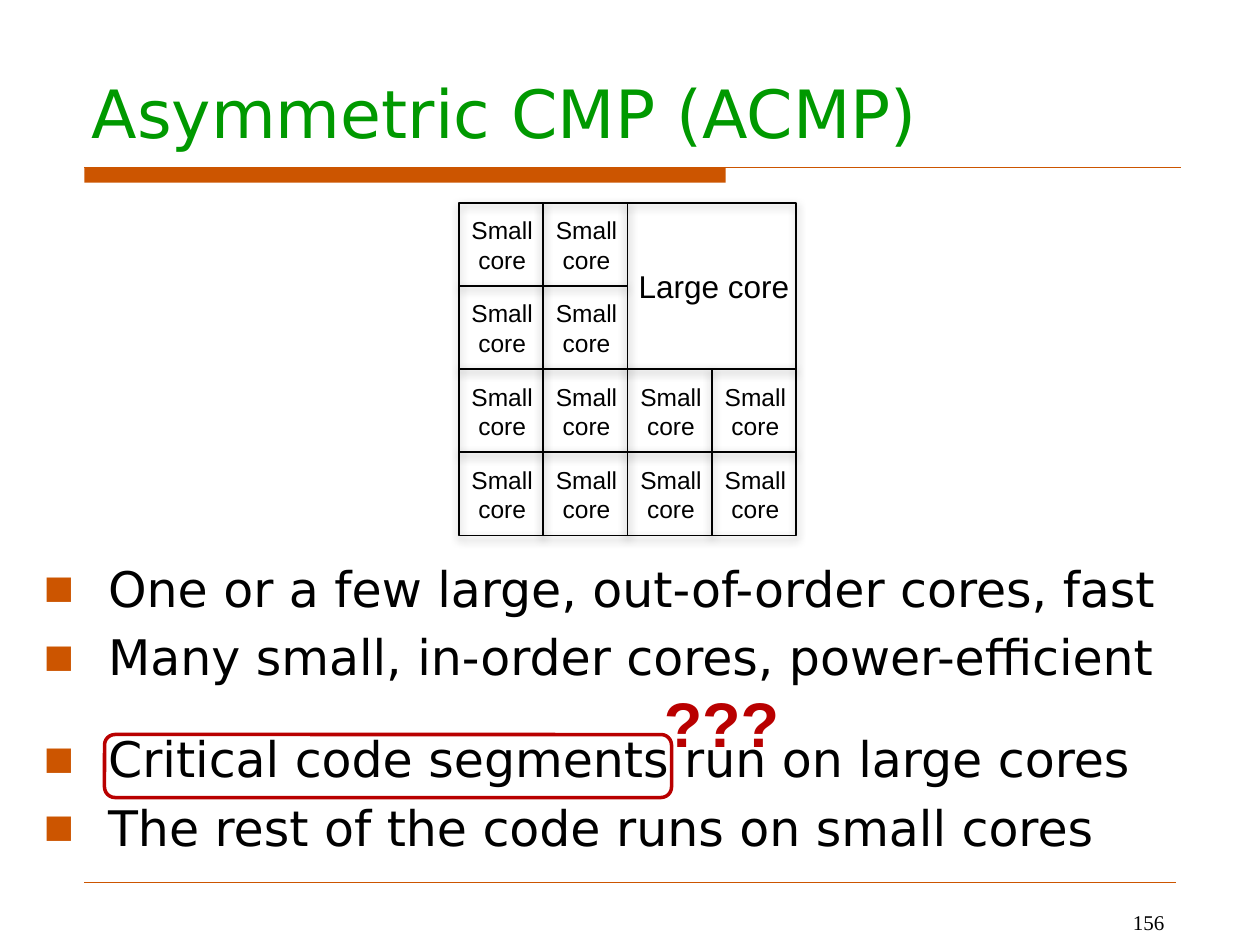
from dataclasses import dataclass

from lxml import etree
from pptx import Presentation
from pptx.dml.color import RGBColor
from pptx.enum.shapes import MSO_CONNECTOR, MSO_SHAPE
from pptx.enum.text import MSO_ANCHOR as Anchor, PP_ALIGN as Align
from pptx.oxml.ns import qn
from pptx.util import Inches, Pt

# Content
TITLE = "Asymmetric CMP (ACMP)"
SMALL_CORE = ["Small", "core"]
LARGE_CORE = "Large core"
POINTS = [  # text, space before in points
    ("One or a few large, out-of-order cores, fast", 0),
    ("Many small, in-order cores, power-efficient", 5.6),
    ("Critical code segments run on large cores", 24.6),
    ("The rest of the code runs on small cores", 5.6),
]
QUESTION = "???"
PAGE = "156"


@dataclass(frozen=True)
class Theme:
    title: RGBColor = RGBColor(0x00, 0x99, 0x00)
    accent: RGBColor = RGBColor(0xCC, 0x55, 0x00)
    alert: RGBColor = RGBColor(0xB9, 0x00, 0x00)
    ink: RGBColor = RGBColor(0x00, 0x00, 0x00)
    heading_font: str = "DejaVu Sans"
    label_font: str = "Arial"
    page_font: str = "Times New Roman"
    title_size: int = 38
    body_size: int = 28
    question_size: int = 36
    large_size: int = 18
    small_size: int = 14
    page_size: int = 12
    bullet_percent: int = 65


theme = Theme()

# Chip grid: four by four cells, the large core takes the top right quarter
LEFT, TOP = 3.64, 1.61
CELL_W, CELL_H = 0.67, 0.66
SIDE = 4


def col_x(col):
    return LEFT + col * CELL_W


def row_y(row):
    return TOP + row * CELL_H


def set_effects(shape, shadow_alpha=None):
    """Replace the theme shadow with none, or with a soft one straight below."""
    properties = shape._element.spPr
    for old in properties.findall(qn("a:effectLst")):
        properties.remove(old)
    effects = etree.SubElement(properties, qn("a:effectLst"))
    if shadow_alpha:
        shadow = etree.SubElement(effects, qn("a:outerShdw"), blurRad=str(Pt(5)),
                                  dist=str(Pt(1.8)), dir="5400000", rotWithShape="0")
        color = etree.SubElement(shadow, qn("a:srgbClr"), val=str(theme.ink))
        etree.SubElement(color, qn("a:alpha"), val=str(shadow_alpha * 1000))


def style_font(target, font, size, color, bold=False):
    target.name = font
    target.size = Pt(size)
    target.color.rgb = color
    target.bold = bold


def add_text(shapes, box, lines, font, size, color, align=Align.LEFT,
             anchor=Anchor.TOP, wrap=False, bold=False):
    frame = shapes.add_textbox(*map(Inches, box)).text_frame
    frame.word_wrap = wrap
    frame.vertical_anchor = anchor
    frame.text = "\n".join(lines)
    for paragraph in frame.paragraphs:
        paragraph.alignment = align
        style_font(paragraph.font, font, size, color, bold)


def add_line(shapes, start, end, color, width, shadow_alpha=None):
    line = shapes.add_connector(MSO_CONNECTOR.STRAIGHT, *map(Inches, (*start, *end)))
    line.line.color.rgb = color
    line.line.width = Pt(width)
    set_effects(line, shadow_alpha)
    return line


def add_outline(shapes, preset, box, color, width, shadow_alpha=None):
    outline = shapes.add_shape(preset, *map(Inches, box))
    outline.fill.background()
    outline.line.color.rgb = color
    outline.line.width = Pt(width)
    set_effects(outline, shadow_alpha)
    return outline


def add_frame(shapes):
    """Title, the rule with its thick bar, the footer rule and the page number."""
    bar = shapes.add_shape(MSO_SHAPE.RECTANGLE, *map(Inches, (0.67, 1.33, 5.09, 0.12)))
    bar.fill.solid()
    bar.fill.fore_color.rgb = theme.accent
    bar.line.fill.background()
    set_effects(bar)
    add_line(shapes, (0.67, 1.33), (9.37, 1.33), theme.accent, 0.75)
    add_line(shapes, (0.67, 7), (9.33, 7), theme.accent, 0.25)
    add_text(shapes, (0.63, 0.33, 8.75, 0.92), [TITLE], theme.heading_font,
             theme.title_size, theme.title, anchor=Anchor.BOTTOM, wrap=True)
    add_text(shapes, (7.17, 7.17, 2.17, 0.18), [PAGE], theme.page_font,
             theme.page_size, theme.ink, align=Align.RIGHT, wrap=True)


def add_points(shapes):
    frame = shapes.add_textbox(*map(Inches, (0.25, 4.38, 9.42, 2.54))).text_frame
    frame.word_wrap = True
    frame.text = "\n".join(text for text, _ in POINTS)
    for paragraph, (_, before) in zip(frame.paragraphs, POINTS):
        paragraph.space_before = Pt(before)
        properties = paragraph._p.get_or_add_pPr()
        properties.set("marL", str(Inches(0.51)))
        properties.set("indent", str(-Inches(0.51)))
        bullet_color = etree.SubElement(properties, qn("a:buClr"))
        etree.SubElement(bullet_color, qn("a:srgbClr"), val=str(theme.accent))
        etree.SubElement(properties, qn("a:buSzPct"),
                         val=str(theme.bullet_percent * 1000))
        etree.SubElement(properties, qn("a:buFont"), typeface=theme.heading_font)
        etree.SubElement(properties, qn("a:buChar"), char="■")
        style_font(paragraph.font, theme.heading_font, theme.body_size, theme.ink)


def add_chip(shapes):
    chip = shapes.add_group_shape().shapes
    half = SIDE // 2
    die = add_outline(chip, MSO_SHAPE.RECTANGLE,
                      (LEFT, TOP, SIDE * CELL_W, SIDE * CELL_H), theme.ink, 1, 35)

    # Dividers as grid points (column, row), with the die sides they join
    dividers = [
        ((half, 0), (half, SIDE), (0, 2)),
        ((1, 0), (1, SIDE), None),
        ((0, half), (SIDE, half), (1, 3)),
        ((0, 3), (SIDE, 3), None),
        ((0, 1), (half, 1), None),
        ((3, SIDE), (3, half), None),
    ]
    for start, end, sides in dividers:
        ends = [(col_x(col), row_y(row)) for col, row in (start, end)]
        divider = add_line(chip, *ends, theme.ink, 1, 38)
        if sides:
            divider.begin_connect(die, sides[0])
            divider.end_connect(die, sides[1])

    # Core labels
    add_text(chip, (4.97, 2.07, 1.41, 0.4), [LARGE_CORE], theme.label_font,
             theme.large_size, theme.ink)
    for row in range(SIDE):
        for col in range(half if row < half else SIDE):
            add_text(chip, (col_x(col), row_y(row) + 0.05, 0.69, 0.57),
                     SMALL_CORE, theme.label_font, theme.small_size, theme.ink,
                     align=Align.CENTER)


def add_highlight(shapes):
    add_outline(shapes, MSO_SHAPE.ROUNDED_RECTANGLE, (0.83, 5.83, 4.5, 0.5),
                theme.alert, 2)
    add_text(shapes, (5.17, 5.38, 1.13, 0.71), [QUESTION], theme.label_font,
             theme.question_size, theme.alert, bold=True)


def main():
    deck = Presentation()
    deck.slide_width, deck.slide_height = Inches(10), Inches(7.5)
    shapes = deck.slides.add_slide(deck.slide_layouts[6]).shapes
    add_frame(shapes)
    add_points(shapes)
    add_chip(shapes)
    add_highlight(shapes)
    deck.save("out.pptx")


if __name__ == "__main__":
    main()
